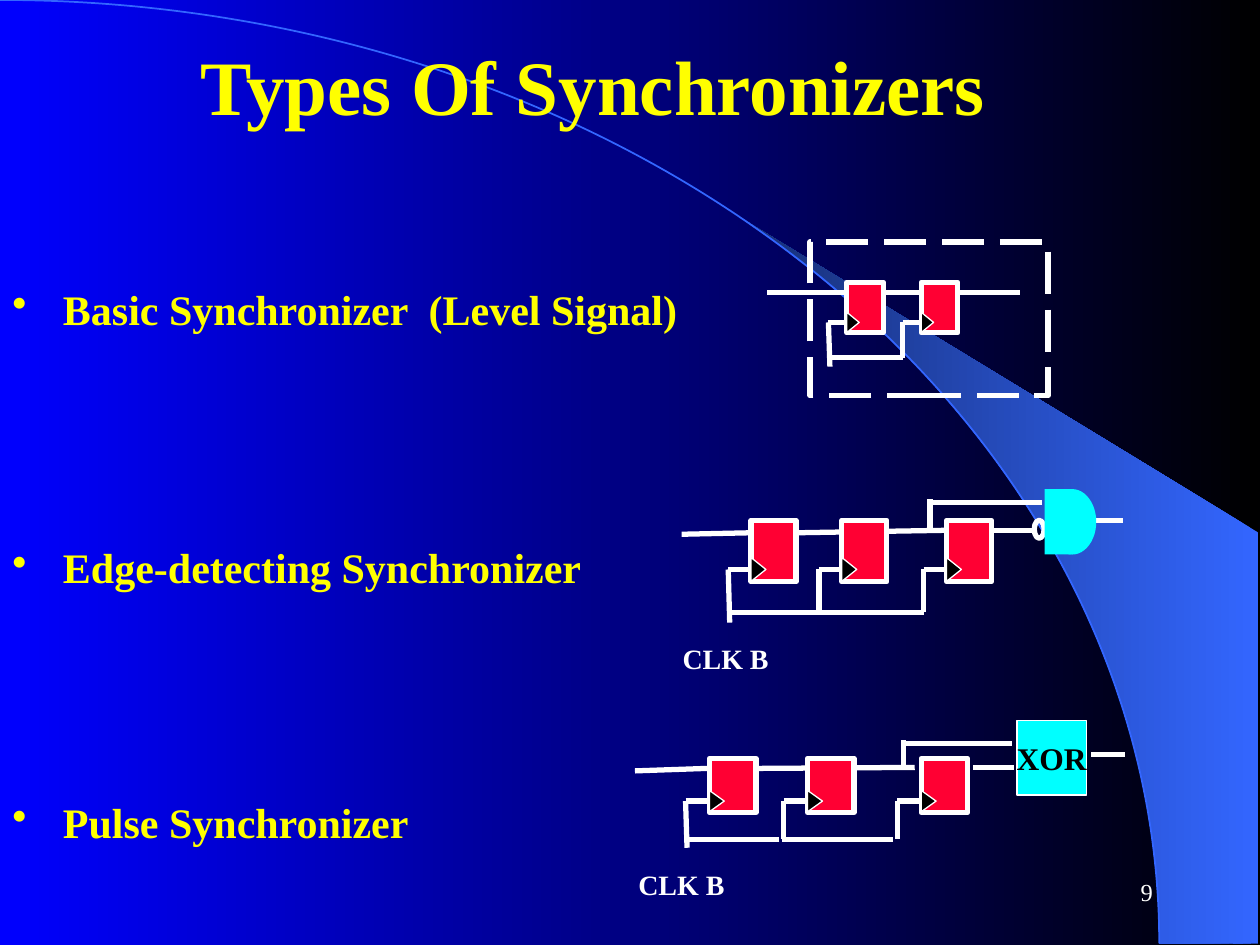
from dataclasses import dataclass
from math import cos, radians, sin

from lxml.etree import SubElement
from pptx import Presentation
from pptx.dml.color import RGBColor
from pptx.enum.dml import MSO_LINE
from pptx.enum.shapes import MSO_CONNECTOR, MSO_SHAPE
from pptx.enum.text import MSO_ANCHOR, PP_ALIGN
from pptx.oxml.ns import qn
from pptx.util import Cm, Pt

FONT = "Times New Roman"
COLORS = {
    "black": "000000",
    "night": "0000FF",
    "arc": "3366FF",
    "beam": "172F75",
    "heading": "FFFF00",
    "white": "FFFFFF",
    "flip_flop": "FF0033",
    "gate": "00FFFF",
}
ARC_WIDTH, ARC_HEIGHT = 23.37, 19.02


@dataclass(frozen=True)
class Wire:
    x1: float
    y1: float
    x2: float
    y2: float


@dataclass(frozen=True)
class Synchronizer:
    title: str
    title_top: float
    title_width: float
    flip_flop_lefts: tuple[float, ...]
    top: float
    width: float
    height: float
    notch_width: float
    notch_depth: float
    clock_y: float
    clock_reach: float
    bus_y: float
    stub_y: float
    bus_gap: float
    wires: tuple[Wire, ...]


SYNCHRONIZERS = (
    Synchronizer(
        "Basic Synchronizer  (Level Signal)", 5.59, 14.1,
        (17.07, 18.57), 5.69, 0.74, 1.02, 0.41, 0.25,
        6.5, 0.37, 7.21, 7.39, 0,
        (Wire(15.47, 5.89, 17.07, 5.89), Wire(17.83, 5.89, 20.57, 5.89)),
    ),
    Synchronizer(
        "Edge-detecting Synchronizer", 10.8, 12.6,
        (15.14, 16.97, 19.08), 10.49, 0.91, 1.24, 0.48, 0.3,
        11.48, 0.46, 12.34, 12.55, 0,
        (
            Wire(13.74, 10.77, 15.14, 10.74),
            Wire(16.05, 10.74, 19.08, 10.69),
            Wire(18.75, 10.69, 18.75, 10.06),
            Wire(21.01, 10.13, 18.75, 10.13),
            Wire(20.04, 10.69, 20.85, 10.69),
            Wire(22.1, 10.49, 22.63, 10.49),
        ),
    ),
    Synchronizer(
        "Pulse Synchronizer", 15.93, 9.07,
        (14.3, 16.28, 18.57), 15.29, 0.94, 1.09, 0.43, 0.3,
        16.15, 0.48, 16.92, 17.09, 0.09,
        (
            Wire(12.8, 15.54, 14.25, 15.49),
            Wire(15.29, 15.49, 18.44, 15.47),
            Wire(18.21, 15.47, 18.21, 14.91),
            Wire(20.4, 14.99, 18.21, 14.99),
            Wire(19.61, 15.47, 20.45, 15.47),
            Wire(22, 15.21, 22.68, 15.21),
        ),
    ),
)


def rgb(name: str) -> RGBColor:
    return RGBColor.from_string(COLORS[name])


def fill_gradient(fill, start: str, end: str) -> None:
    fill.gradient()
    fill.gradient_angle = 180
    for stop, name in zip(fill.gradient_stops, (start, end)):
        stop.color.rgb = rgb(name)


def write_text(shape, text: str, *, size: float, color: str = "white", bold: bool = True,
               align=PP_ALIGN.LEFT, anchor=MSO_ANCHOR.TOP, wrap: bool = False,
               bullet: bool = False) -> None:
    frame = shape.text_frame
    frame.word_wrap = wrap
    frame.vertical_anchor = anchor
    paragraph = frame.paragraphs[0]
    paragraph.alignment = align
    run = paragraph.add_run()
    run.text = text
    run.font.name = FONT
    run.font.size = Pt(size)
    run.font.bold = bold
    run.font.color.rgb = rgb(color)
    if bullet:
        properties = paragraph._p.get_or_add_pPr()
        properties.set("marL", str(Cm(1.02)))
        properties.set("indent", str(-Cm(1.02)))
        bullet_color = SubElement(properties, qn("a:buClr"))
        SubElement(bullet_color, qn("a:srgbClr"), val=COLORS[color])
        SubElement(properties, qn("a:buChar"), char="•")


def add_label(slide, text: str, left: float, top: float, width: float, height: float,
              **text_format) -> None:
    label = slide.shapes.add_textbox(Cm(left), Cm(top), Cm(width), Cm(height))
    write_text(label, text, **text_format)


def add_block(slide, preset, left: float, top: float, width: float, height: float,
              fill: str | None = None, line: str | None = None, weight: float = 3):
    block = slide.shapes.add_shape(preset, Cm(left), Cm(top), Cm(width), Cm(height))
    block.shadow.inherit = False
    if fill:
        block.fill.solid()
        block.fill.fore_color.rgb = rgb(fill)
    else:
        block.fill.background()
    if line:
        block.line.color.rgb = rgb(line)
        block.line.width = Pt(weight)
    else:
        block.line.fill.background()
    return block


def add_wire(slide, wire: Wire) -> None:
    connector = slide.shapes.add_connector(
        MSO_CONNECTOR.STRAIGHT, Cm(wire.x1), Cm(wire.y1), Cm(wire.x2), Cm(wire.y2))
    connector.line.color.rgb = rgb("white")
    connector.line.width = Pt(3)
    SubElement(connector._element.spPr, qn("a:effectLst"))


def add_backdrop(slide) -> None:
    fill_gradient(slide.background.fill, "black", "night")
    angles = [39.8 + 50.2 * step / 24 for step in range(25)]
    curve = [(Cm(ARC_WIDTH * sin(radians(angle))), Cm(ARC_HEIGHT * (1 - cos(radians(angle)))))
             for angle in angles]
    outline = slide.shapes.build_freeform(*curve[0], scale=1.0)
    outline.add_line_segments(curve[1:] + [(Cm(25.37), Cm(19.02)), (Cm(25.37), Cm(10.74))])
    beam = outline.convert_to_shape()
    beam.shadow.inherit = False
    fill_gradient(beam.fill, "arc", "beam")
    beam.line.fill.background()
    add_block(slide, MSO_SHAPE.ARC, -ARC_WIDTH, 0, 2 * ARC_WIDTH, 2 * ARC_HEIGHT,
              line="arc", weight=1)


def add_synchronizer(slide, sync: Synchronizer) -> None:
    add_label(slide, sync.title, 0, sync.title_top, sync.title_width, 1.27,
              size=24, color="heading", wrap=True, bullet=True)
    for wire in sync.wires:
        add_wire(slide, wire)
    legs = [left - sync.clock_reach for left in sync.flip_flop_lefts]
    for index, (left, leg) in enumerate(zip(sync.flip_flop_lefts, legs)):
        leg_end = Wire(leg, sync.clock_y, leg, sync.bus_y)
        if index == 0:
            leg_end = Wire(leg, sync.clock_y, leg + 0.03, sync.stub_y)
        add_wire(slide, leg_end)
        add_wire(slide, Wire(leg, sync.clock_y, left, sync.clock_y))
        add_block(slide, MSO_SHAPE.RECTANGLE, left, sync.top, sync.width, sync.height,
                  "flip_flop", "white")
        notch = add_block(
            slide, MSO_SHAPE.ISOSCELES_TRIANGLE,
            left + (sync.notch_depth - sync.notch_width) / 2,
            sync.clock_y - sync.notch_depth / 2,
            sync.notch_width, sync.notch_depth, "black", "white", 0.75)
        notch.rotation = 90
    for leg, next_leg in zip(legs, legs[1:]):
        add_wire(slide, Wire(next_leg - sync.bus_gap, sync.bus_y, leg - 0.03, sync.bus_y))


def main() -> None:
    presentation = Presentation()
    presentation.slide_width, presentation.slide_height = Cm(25.4), Cm(19.05)
    slide = presentation.slides.add_slide(presentation.slide_layouts[6])
    add_backdrop(slide)
    add_label(slide, "Types Of Synchronizers", 3.73, 0.66, 16.46, 2.13,
              size=44, color="heading", align=PP_ALIGN.CENTER)
    for sync in SYNCHRONIZERS:
        add_synchronizer(slide, sync)

    boundary = add_block(slide, MSO_SHAPE.RECTANGLE, 16.33, 4.88, 4.8, 3.1, line="white")
    boundary.line.dash_style = MSO_LINE.LONG_DASH
    add_block(slide, MSO_SHAPE.OVAL, 20.85, 10.49, 0.2, 0.36, line="white")
    add_block(slide, MSO_SHAPE.OVAL, 21.13, 9.86, 0.97, 1.32, "gate")
    add_block(slide, MSO_SHAPE.RECTANGLE, 21.06, 9.86, 0.53, 1.32, "gate")
    xor_gate = add_block(slide, MSO_SHAPE.RECTANGLE, 20.5, 14.53, 1.4, 1.5,
                         "gate", "white", 0.75)
    write_text(xor_gate, "XOR", size=18, color="black",
               align=PP_ALIGN.CENTER, anchor=MSO_ANCHOR.MIDDLE)
    for left, top in ((13.51, 12.8), (12.62, 17.37)):
        add_label(slide, "CLK B", left, top, 2.24, 0.94, size=16)
    add_label(slide, "9", 18.21, 17.35, 5.28, 1.27, size=14, bold=False, wrap=True,
              align=PP_ALIGN.RIGHT, anchor=MSO_ANCHOR.MIDDLE)
    presentation.save("out.pptx")


if __name__ == "__main__":
    main()
